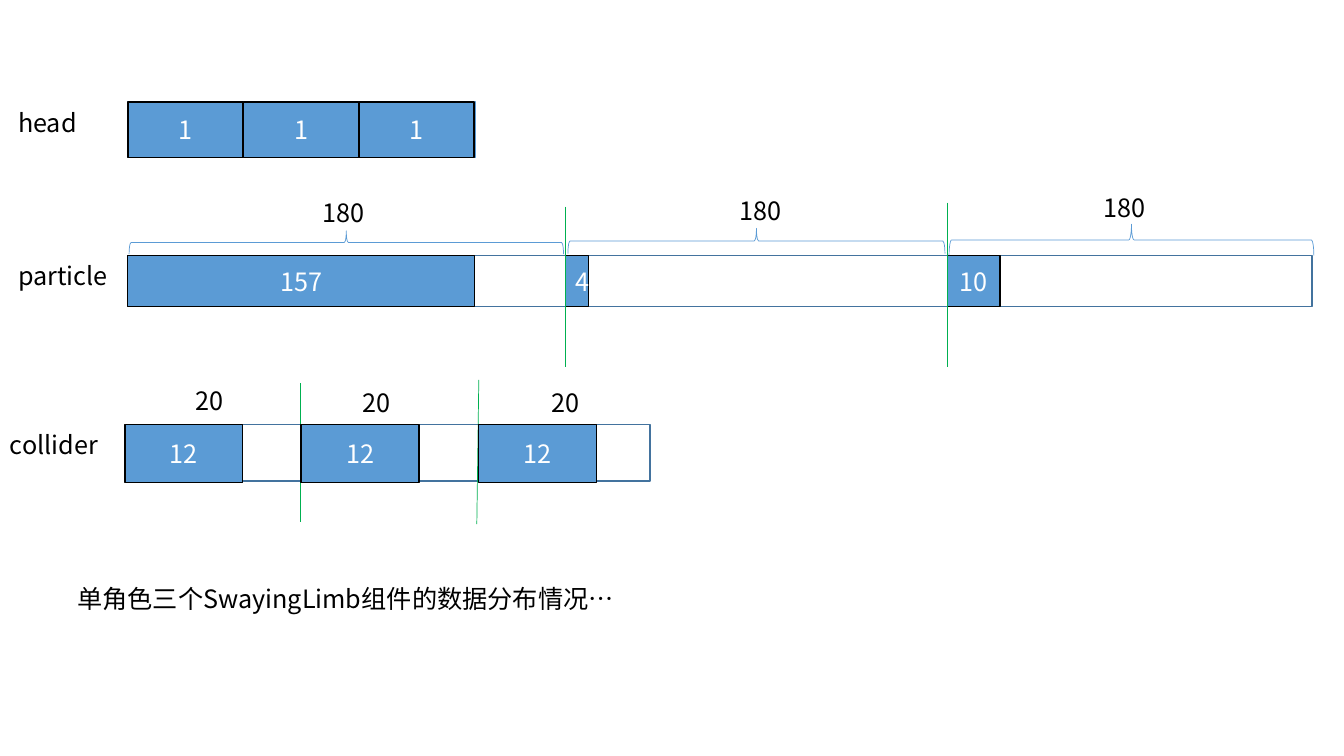
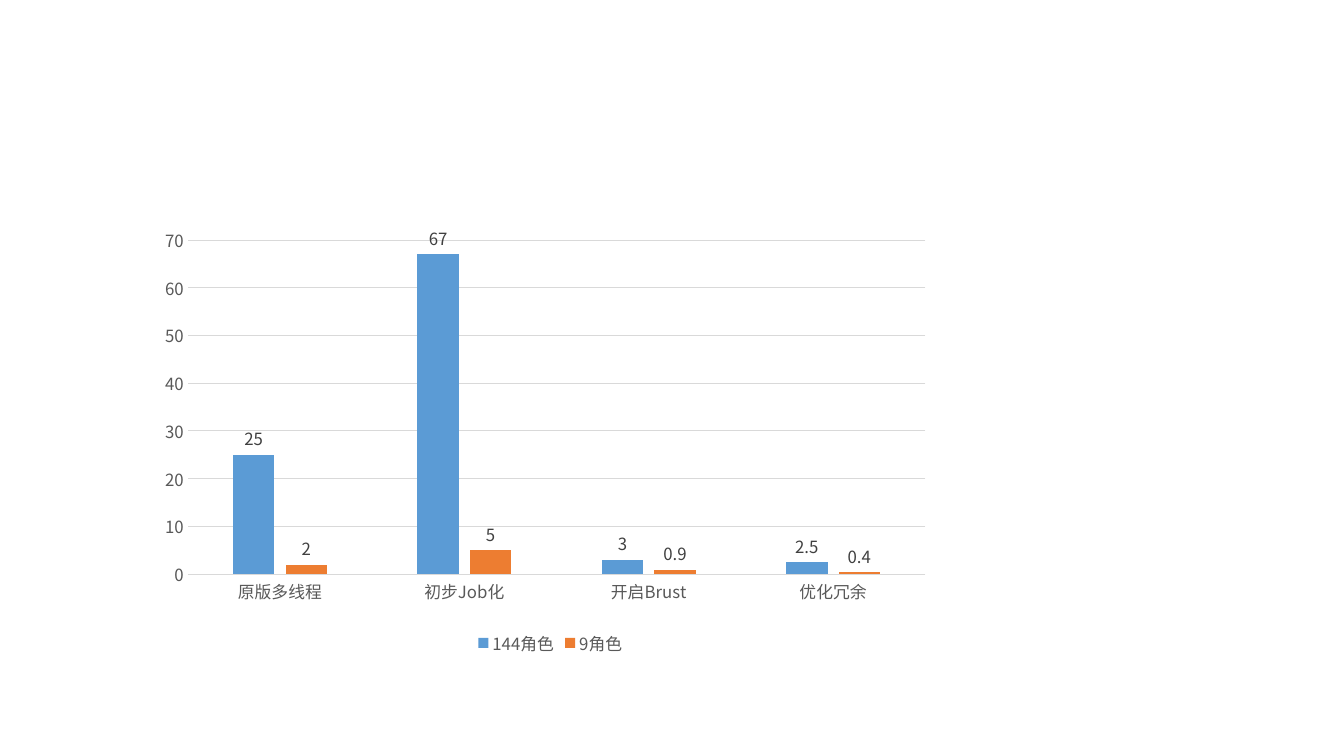
from dataclasses import dataclass
from lxml.etree import SubElement
from pptx import Presentation
from pptx.chart.data import CategoryChartData as ChartData
from pptx.dml.color import RGBColor as Color
from pptx.enum.chart import XL_CHART_TYPE as ChartType
from pptx.enum.chart import XL_LABEL_POSITION as LabelPosition
from pptx.enum.chart import XL_LEGEND_POSITION as LegendPosition
from pptx.enum.chart import XL_TICK_MARK as TickMark
from pptx.enum.shapes import MSO_CONNECTOR as Connector
from pptx.enum.shapes import MSO_SHAPE as Shape
from pptx.enum.text import MSO_ANCHOR as Anchor
from pptx.enum.text import MSO_AUTO_SIZE as AutoSize
from pptx.enum.text import PP_ALIGN as Align
from pptx.oxml.ns import qn
from pptx.util import Pt


@dataclass(frozen=True)
class Theme:
    font: str = "Noto Sans CJK SC"
    white: str = "FFFFFF"
    black: str = "000000"
    blue: str = "5B9BD5"
    navy: str = "43739E"
    orange: str = "ED7D31"
    green: str = "00B050"
    axis_text: str = "595959"
    label_text: str = "404040"
    grid: str = "D9D9D9"
    body_size: float = 18
    chart_size: float = 12
    chart_base_size: float = 10
    border: float = 1
    hairline: float = 0.5
    grid_line: float = 0.75


THEME = Theme()


def set_values(target, values):
    for name, value in values.items():
        setattr(target, name, value)


def set_font(font, size, colour):
    set_values(font, {"name": THEME.font, "size": Pt(size)})
    font.color.rgb = Color.from_string(colour)


def set_line(line, colour, width):
    line.color.rgb = Color.from_string(colour)
    line.width = Pt(width)


def set_fill(fill, colour):
    fill.solid()
    fill.fore_color.rgb = Color.from_string(colour)


def add_east_asian_font(element):
    for latin in list(element.iter(qn("a:latin"))):
        east_asian = SubElement(latin.getparent(), qn("a:ea"), typeface=THEME.font)
        latin.addnext(east_asian)


def write_text(shape, text, colour, frame_values, para_values):
    frame = shape.text_frame
    set_values(frame, frame_values)
    para = frame.paragraphs[0]
    set_values(para, para_values)
    span = para.add_run()
    span.text = text
    set_font(span.font, THEME.body_size, colour)


def add_bar(page, left, top, width, height, fill, border, text=None):
    bar = page.shapes.add_shape(Shape.RECTANGLE, Pt(left), Pt(top), Pt(width), Pt(height))
    bar.shadow.inherit = False
    set_fill(bar.fill, fill)
    set_line(bar.line, border, THEME.border)
    if text:
        write_text(bar, text, THEME.white,
                   {"word_wrap": True, "vertical_anchor": Anchor.MIDDLE},
                   {"alignment": Align.CENTER})


def add_label(page, left, top, width, text):
    box = page.shapes.add_textbox(Pt(left), Pt(top), Pt(width), Pt(29))
    write_text(box, text, THEME.black,
               {"word_wrap": True, "auto_size": AutoSize.SHAPE_TO_FIT_TEXT},
               {"alignment": Align.LEFT})


def add_divider(page, x_start, y_start, x_end, y_end):
    divider = page.shapes.add_connector(
        Connector.STRAIGHT, Pt(x_start), Pt(y_start), Pt(x_end), Pt(y_end))
    set_line(divider.line, THEME.green, THEME.hairline)
    SubElement(divider.element.spPr, qn("a:effectLst"))


def add_brace(page, left, top, length, depth):
    brace = page.shapes.add_shape(
        Shape.RIGHT_BRACE, Pt(left + (length - depth) / 2),
        Pt(top - (length - depth) / 2), Pt(depth), Pt(length))
    brace.rotation = 270
    brace.shadow.inherit = False
    brace.fill.background()
    set_line(brace.line, THEME.blue, THEME.hairline)


def place_plot(chart, left, top, width, height):
    area = chart.element.find(".//" + qn("c:plotArea"))
    for old in area.findall(qn("c:layout")):
        area.remove(old)
    layout = SubElement(area, qn("c:layout"))
    area.insert(0, layout)
    manual = SubElement(layout, qn("c:manualLayout"))
    settings = {"layoutTarget": "inner", "xMode": "edge", "yMode": "edge",
                "x": left, "y": top, "w": width, "h": height}
    for name, value in settings.items():
        SubElement(manual, qn("c:" + name), val=str(value))


def style_axes(chart):
    for axis in (chart.category_axis, chart.value_axis):
        set_values(axis, {"major_tick_mark": TickMark.NONE,
                          "minor_tick_mark": TickMark.NONE})
        set_font(axis.tick_labels.font, THEME.chart_size, THEME.axis_text)
    set_line(chart.category_axis.format.line, THEME.grid, THEME.grid_line)
    values = chart.value_axis
    set_values(values, {"minimum_scale": 0, "maximum_scale": 70,
                        "major_unit": 10, "has_major_gridlines": True})
    values.format.line.fill.background()
    set_line(values.major_gridlines.format.line, THEME.grid, THEME.grid_line)


def style_series(series, colour):
    set_fill(series.format.fill, colour)
    series.invert_if_negative = False
    labels = series.data_labels
    set_values(labels, {"show_value": True, "position": LabelPosition.OUTSIDE_END})
    set_font(labels.font, THEME.chart_size, THEME.label_text)


def add_column_chart(page, left, top, width, height, categories, series_values):
    data = ChartData()
    data.categories = categories
    for name, values in series_values.items():
        data.add_series(name, values)
    chart = page.shapes.add_chart(
        ChartType.COLUMN_CLUSTERED, Pt(left), Pt(top), Pt(width), Pt(height), data).chart
    set_values(chart, {"has_title": False, "has_legend": True})
    set_font(chart.font, THEME.chart_base_size, THEME.black)
    set_values(chart.legend, {"position": LegendPosition.BOTTOM,
                              "include_in_layout": False})
    set_font(chart.legend.font, THEME.chart_size, THEME.axis_text)
    plot = chart.plots[0]
    set_values(plot, {"gap_width": 219, "overlap": -27, "vary_by_categories": False})
    style_axes(chart)
    for series, colour in zip(plot.series, (THEME.blue, THEME.orange)):
        style_series(series, colour)
    place_plot(chart, 0.063, 0.135, 0.889, 0.689)
    add_east_asian_font(chart.element)


def build_layout_page(page):
    left, head_top, particle_top, collider_top = 91.3, 73, 182.6, 303.1
    head_height, particle_height = 39.4, 36.5
    second, third = 403.9, 676.8

    add_bar(page, left, head_top, 248.4, head_height, THEME.white, THEME.blue)
    add_bar(page, left, particle_top, 846, particle_height, THEME.white, THEME.navy)
    add_bar(page, left, collider_top, 373, 40.5, THEME.white, THEME.navy)

    for index in range(3):
        add_bar(page, left + index * 82.5, head_top, 82.4, head_height,
                THEME.blue, THEME.black, "1")
    for x, width, count in ((left, 247.7, "157"), (second, 16.6, "4"), (third, 37.4, "10")):
        add_bar(page, x, particle_top, width, particle_height,
                THEME.blue, THEME.black, count)

    for ends in ((second, 147.6, second, 262), (third, 144.7, third, 262),
                 (214.6, 273.6, 214.6, 373), (342, 271.4, 340.6, 374.4)):
        add_divider(page, *ends)
    for x in (89.3, 215.1, 342):
        add_bar(page, x, collider_top, 84.2, 41.6, THEME.blue, THEME.black, "12")
    for bounds in ((92.2, 164.9, 310.3, 16.6), (405.7, 163.1, 269.3, 18),
                   (677.9, 160.2, 260.6, 22.3)):
        add_brace(page, *bounds)

    for label in ((5.8, head_top, 69, "head"), (5.8, particle_top, 83, "particle"),
                  (0, collider_top, 89, "collider"),
                  (223.2, 137.5, 55, "180"), (521.3, 136.1, 55, "180"),
                  (781.2, 133.9, 55, "180"), (132.5, 271.4, 50, "20"),
                  (252, 273.2, 50, "20"), (387, 272.9, 50, "20"),
                  (48.2, 413.3, 778, "单角色三个SwayingLimb组件的数据分布情况…")):
        add_label(page, *label)
    add_east_asian_font(page.element)


def build_chart_page(page):
    add_column_chart(
        page, 96.8, 124.8, 592.6, 346.3,
        ("原版多线程", "初步Job化", "开启Brust", "优化冗余"),
        {"144角色": (25, 67, 3, 2.5), "9角色": (2, 5, 0.9, 0.4)})


def main():
    deck = Presentation()
    set_values(deck, {"slide_width": Pt(960), "slide_height": Pt(540)})
    for build in (build_layout_page, build_chart_page):
        build(deck.slides.add_slide(deck.slide_layouts[6]))
    deck.save("out.pptx")


if __name__ == "__main__":
    main()
